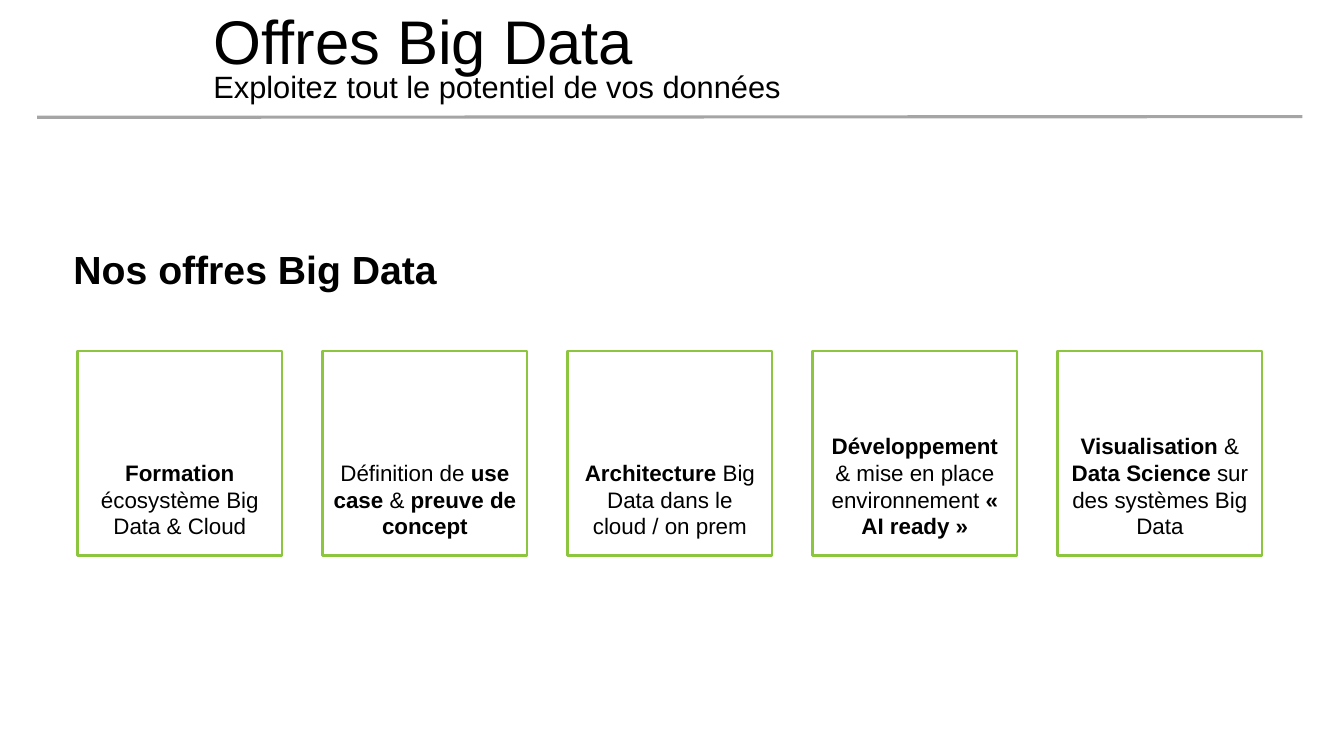
from dataclasses import dataclass

import pptx
import pptx.dml.color
import pptx.enum.shapes
import pptx.enum.text
import pptx.oxml.ns
import pptx.shapes.base
import pptx.slide
import pptx.text.text
import pptx.util
from lxml import etree

Pt = pptx.util.Pt
Align = pptx.enum.text.PP_ALIGN
Anchor = pptx.enum.text.MSO_ANCHOR

COLOURS = {"text": "000000", "card": "FFFFFF", "border": "8CC63F", "rule": "A5A5A5"}
FONT = "Arial"
CARD_LEFT, CARD_TOP, CARD_SIZE, CARD_PITCH = 55.4, 250.6, 146.2, 175


@dataclass(frozen=True)
class Run:
    text: str
    bold: bool = False


@dataclass(frozen=True)
class Offer:
    runs: tuple[Run, ...]
    filled: bool = True


OFFERS = (
    Offer((Run("Formation ", True), Run("écosystème Big Data & Cloud"))),
    Offer((Run("Définition de "), Run("use case ", True), Run("&"),
           Run(" preuve de concept", True))),
    Offer((Run("Architecture", True), Run(" Big Data dans le cloud / on prem"))),
    Offer((Run("Développement ", True), Run("& mise en place environnement "),
           Run("« AI ready »", True)), filled=False),
    Offer((Run("Visualisation", True), Run(" & "), Run("Data Science ", True),
           Run("sur des systèmes Big Data")), filled=False),
)


def colour(name: str) -> pptx.dml.color.RGBColor:
    return pptx.dml.color.RGBColor.from_string(COLOURS[name])


def write_text(
    shape: pptx.shapes.base.BaseShape,
    runs: tuple[Run, ...],
    *,
    size: float,
    align: Align = Align.LEFT,
    anchor: Anchor = Anchor.TOP,
    line_spacing: float = 1.0,
    bottom_margin: float = 3.6,
) -> pptx.text.text._Paragraph:
    frame = shape.text_frame
    frame.word_wrap = True
    frame.auto_size = pptx.enum.text.MSO_AUTO_SIZE.NONE
    frame.vertical_anchor = anchor
    frame.margin_left = frame.margin_right = Pt(7.2)
    frame.margin_top, frame.margin_bottom = Pt(3.6), Pt(bottom_margin)
    paragraph = frame.paragraphs[0]
    paragraph.alignment = align
    paragraph.line_spacing = line_spacing
    for item in runs:
        run = paragraph.add_run()
        run.text = item.text
        run.font.name = FONT
        run.font.size = Pt(size)
        run.font.bold = item.bold
        run.font.color.rgb = colour("text")
    return paragraph


def add_header(slide: pptx.slide.Slide) -> None:
    rule = slide.shapes.add_connector(
        pptx.enum.shapes.MSO_CONNECTOR.STRAIGHT, Pt(26.6), Pt(83.8), Pt(930.2), Pt(83.3))
    rule.line.color.rgb = colour("rule")
    rule.line.width = Pt(2.25)
    etree.SubElement(rule._element.spPr, pptx.oxml.ns.qn("a:effectLst"))

    title = slide.shapes.title
    title.left, title.top, title.width, title.height = Pt(145.4), Pt(3.6), Pt(748.8), Pt(56.2)
    write_text(title, (Run("Offres Big Data"),), size=44, anchor=Anchor.MIDDLE,
               line_spacing=0.9)
    subtitle = slide.shapes.add_textbox(Pt(145.4), Pt(48.2), Pt(748.8), Pt(28.8))
    write_text(subtitle, (Run("Exploitez tout le potentiel de vos données"),), size=22,
               line_spacing=0.9)


def add_heading(slide: pptx.slide.Slide) -> None:
    heading = slide.shapes.add_textbox(Pt(9.4), Pt(171.4), Pt(818.6), Pt(41))
    paragraph = write_text(heading, (Run("Nos offres Big Data", True),), size=28)
    paragraph.level = 1
    properties = paragraph._p.get_or_add_pPr()
    properties.set("marL", str(Pt(36)))
    properties.set("indent", "0")


def add_card(slide: pptx.slide.Slide, offer: Offer, left: float) -> None:
    card = slide.shapes.add_shape(
        pptx.enum.shapes.MSO_SHAPE.RECTANGLE,
        Pt(left), Pt(CARD_TOP), Pt(CARD_SIZE), Pt(CARD_SIZE))
    card.shadow.inherit = False
    if offer.filled:
        card.fill.solid()
        card.fill.fore_color.rgb = colour("card")
    else:
        card.fill.background()
    card.line.color.rgb = colour("border")
    card.line.width = Pt(1.5)
    write_text(card, offer.runs, size=16, align=Align.CENTER, anchor=Anchor.BOTTOM,
               bottom_margin=11.5)


def main() -> None:
    presentation = pptx.Presentation()
    presentation.slide_width, presentation.slide_height = Pt(960), Pt(540)
    slide = presentation.slides.add_slide(presentation.slide_layouts.get_by_name("Title Only"))
    add_header(slide)
    add_heading(slide)
    for index, offer in enumerate(OFFERS):
        add_card(slide, offer, CARD_LEFT + index * CARD_PITCH)
    presentation.save("out.pptx")


if __name__ == "__main__":
    main()
